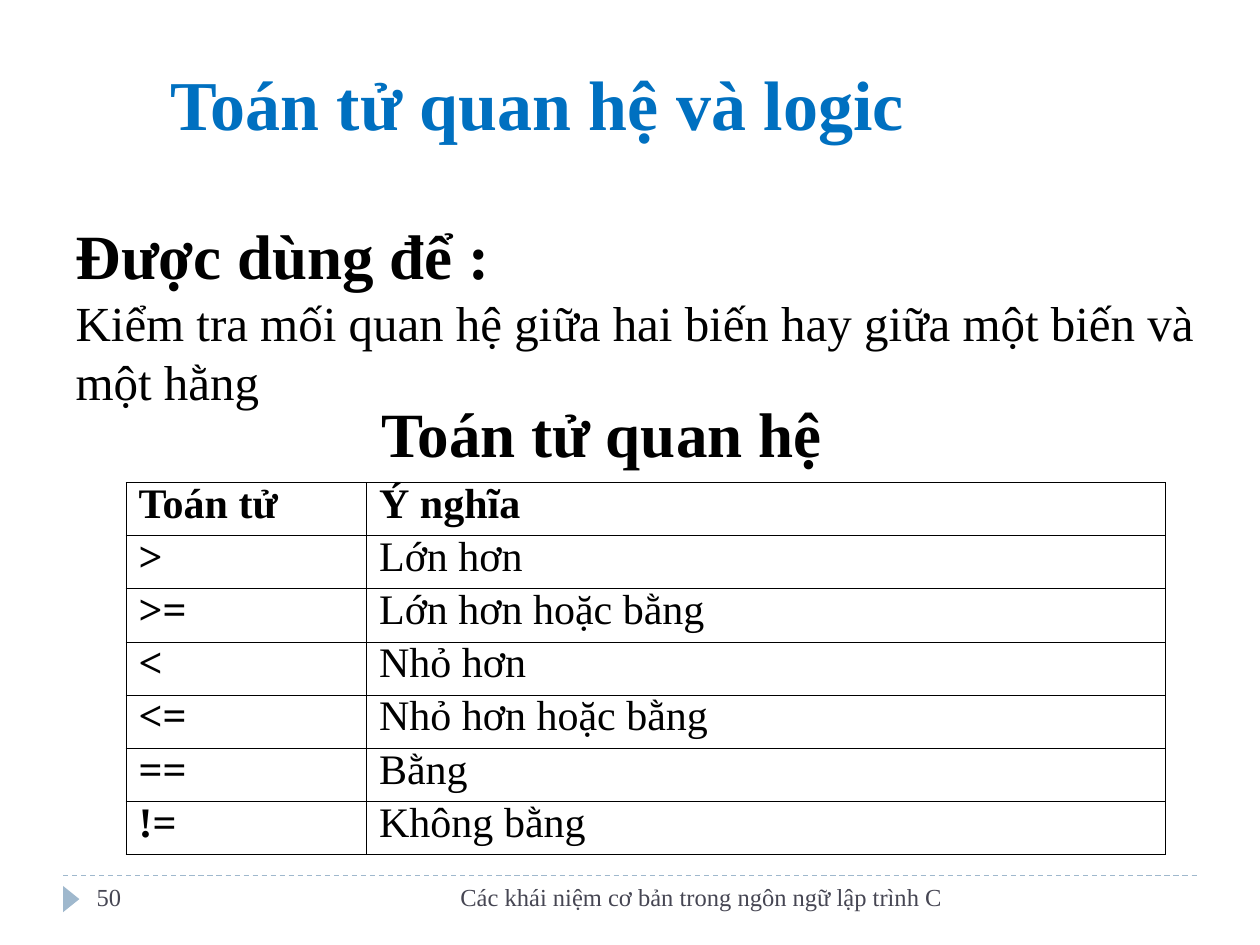
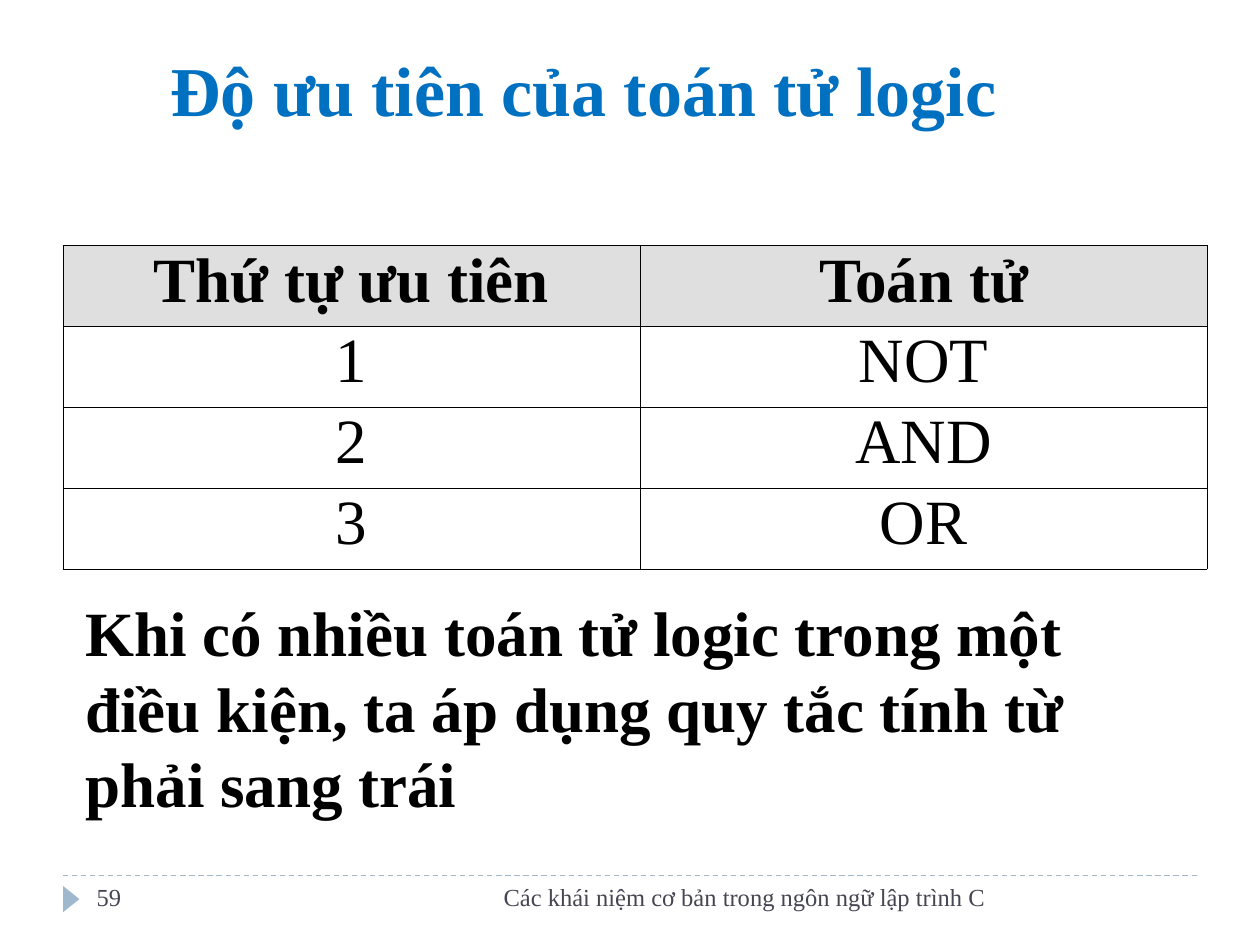
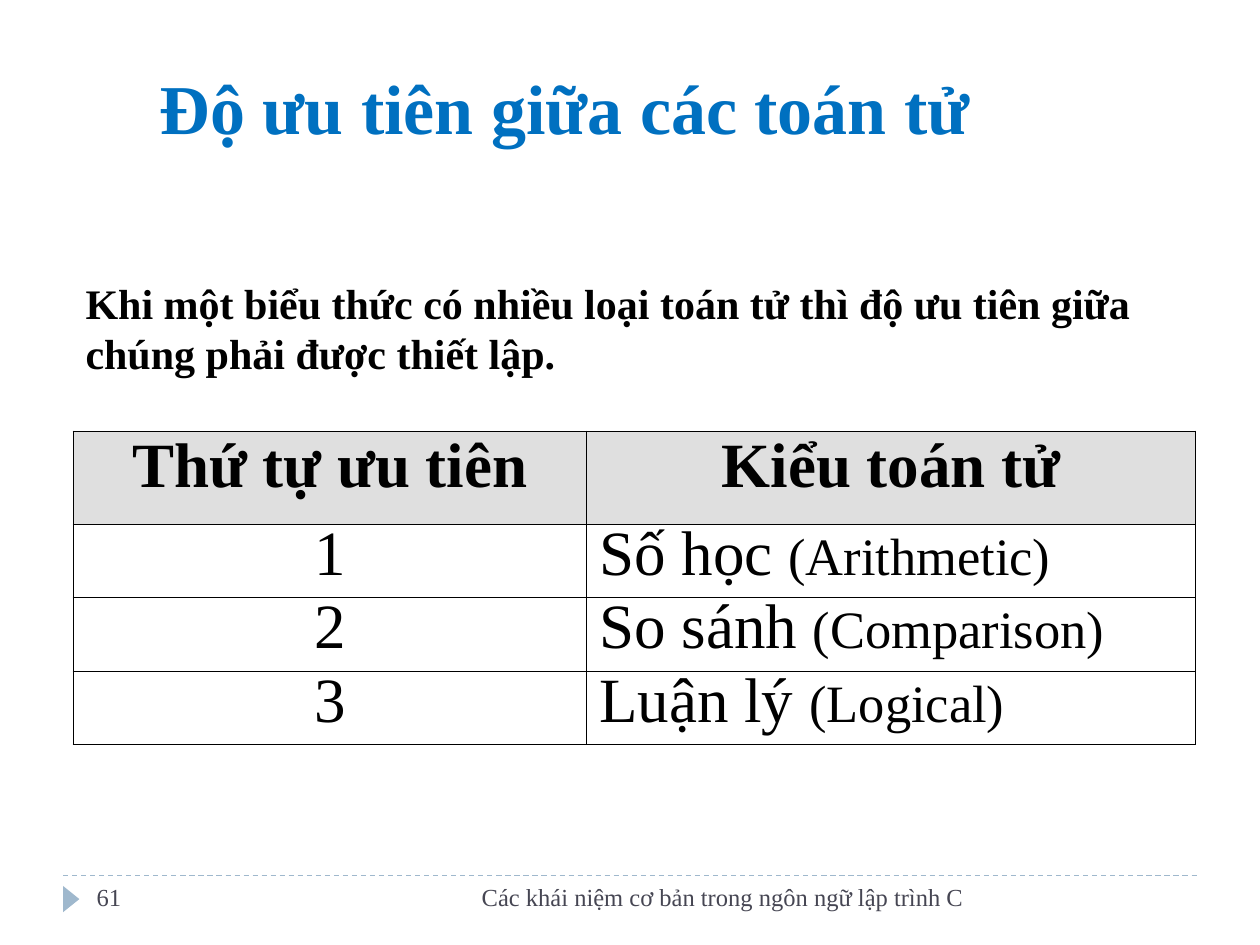
"""Build three slides on relational and logical operators in C."""
from lxml import etree
from pptx import Presentation
from pptx.dml.color import RGBColor
from pptx.enum.dml import MSO_LINE
from pptx.enum.shapes import MSO_CONNECTOR, MSO_SHAPE
from pptx.enum.text import MSO_ANCHOR, MSO_AUTO_SIZE, PP_ALIGN
from pptx.oxml import parse_xml
from pptx.oxml.ns import nsdecls, qn
from pptx.util import Cm, Pt

LEFT, MID, RIGHT = PP_ALIGN.LEFT, PP_ALIGN.CENTER, PP_ALIGN.RIGHT
TOP, CENTER, BOTTOM = MSO_ANCHOR.TOP, MSO_ANCHOR.MIDDLE, MSO_ANCHOR.BOTTOM
DASH, FIXED = MSO_LINE.DASH, MSO_AUTO_SIZE.NONE
STRAIGHT, ARROW = MSO_CONNECTOR.STRAIGHT, MSO_SHAPE.ISOSCELES_TRIANGLE
FONT = "Times New Roman"
BLUE, STEEL, SLATE, BLACK, GRAY = "0070C0", "9FB8CD", "464653", "000000", "DFDFDF"
FOOT = "Các khái niệm cơ bản trong ngôn ngữ lập trình C"

PAGES = [
    {
        "num": "50", "foot": 11.2,
        "title": "Toán tử quan hệ và logic", "head": (3.18, 0.84, 20.75, 2.21),
        "body": [
            [("Ðược dùng để :", 36, True)],
            [("Kiểm tra mối quan hệ giữa hai biến hay giữa một biến và một hằng", 28, False)],
        ],
        "area": (1.27, 4.24, 23.29, 4.17), "anchor": TOP,
        "name": "Toán tử quan hệ",
        "spot": (2.54, 9.73), "cols": (4.85, 16.1), "high": (1.07, 1.07),
        "size": 24, "lead": (0.8, 0.8), "fill": None,
        "align": ((LEFT, LEFT), (LEFT, LEFT)), "bold": (True, False),
        "rows": [
            ("Toán tử", "Ý nghĩa"),
            (">", "Lớn hơn"),
            (">=", "Lớn hơn hoặc bằng"),
            ("<", "Nhỏ hơn"),
            ("<=", "Nhỏ hơn hoặc bằng"),
            ("==", "Bằng"),
            ("!=", "Không bằng"),
        ],
    },
    {
        "num": "59", "foot": 12.07,
        "title": "Độ ưu tiên của toán tử logic", "head": (3.18, 0.64, 20.75, 2.11),
        "body": [[("Khi có nhiều toán tử logic trong một điều kiện, "
                   "ta áp dụng quy tắc tính từ phải sang trái", 36, True)]],
        "area": (1.47, 11.84, 22.43, 4.83), "anchor": CENTER,
        "spot": (1.27, 4.95), "cols": (11.63, 11.43), "high": (1.63, 1.63),
        "size": 36, "lead": (0.9, 0.9), "fill": GRAY,
        "align": ((MID, MID), (MID, MID)), "bold": (False, False),
        "rows": [("Thứ tự ưu tiên", "Toán tử"), ("1", "NOT"), ("2", "AND"), ("3", "OR")],
    },
    {
        "num": "61", "foot": 11.63,
        "title": "Độ ưu tiên giữa các toán tử", "head": (2.97, 0.84, 21.16, 2.29),
        "body": [[("Khi một biểu thức có nhiều loại toán tử thì độ ưu tiên "
                   "giữa chúng phải được thiết lập.", 24, True)]],
        "area": (1.47, 5.46, 23.06, 2.29), "anchor": CENTER,
        "spot": (1.47, 8.69), "cols": (10.36, 12.27), "high": (1.88, 1.48),
        "size": 36, "lead": (0.9, 0.8), "fill": GRAY,
        "align": ((MID, MID), (MID, LEFT)), "bold": (False, False),
        "rows": [
            ("Thứ tự ưu tiên", "Kiểu toán tử"),
            ("1", "Số học ", "(Arithmetic)"),
            ("2", "So sánh ", "(Comparison)"),
            ("3", "Luận lý ", "(Logical)"),
        ],
    },
]


def tint(hue):
    """Turn a hex string into a colour."""
    return RGBColor.from_string(hue)


def write(frame, paras, hue=BLACK, align=LEFT, lead=1.0):
    """Fill a text frame with paragraphs of (text, size, bold) runs."""
    look = {"alignment": align, "line_spacing": lead, "space_before": Pt(0)}
    for at, runs in enumerate(paras):
        para = frame.add_paragraph() if at else frame.paragraphs[0]
        for key, val in look.items():
            setattr(para, key, val)
        props = para._p.get_or_add_pPr()
        for key in ("marL", "indent"):
            props.set(key, "0")
        etree.SubElement(props, qn("a:buNone"))
        for text, size, bold in runs:
            run = para.add_run()
            run.text = text
            for key, val in {"name": FONT, "size": Pt(size), "bold": bold}.items():
                setattr(run.font, key, val)
            run.font.color.rgb = tint(hue)


deck = Presentation()
deck.slide_width, deck.slide_height = Cm(25.4), Cm(19.05)

for page in PAGES:
    slide = deck.slides.add_slide(deck.slide_layouts[1])
    shapes = slide.shapes

    rule = shapes.add_connector(STRAIGHT, Cm(1.27), Cm(17.65), Cm(24.13), Cm(17.65))
    rule.line.color.rgb = tint(STEEL)
    rule.line.width, rule.line.dash_style = Pt(0.75), DASH
    etree.SubElement(rule._element.spPr, qn("a:effectLst"))

    mark = shapes.add_shape(ARROW, Cm(1.17), Cm(17.96), Cm(0.53), Cm(0.33))
    mark.rotation, mark.shadow.inherit = 90, False
    mark.fill.solid()
    mark.fill.fore_color.rgb = tint(STEEL)
    mark.line.fill.background()

    for text, left, width, align in [
        (FOOT, 8.05, page["foot"], RIGHT),
        (page["num"], 1.7, 5.51, LEFT),
    ]:
        frame = shapes.add_textbox(Cm(left), Cm(17.65), Cm(width), Cm(1.02)).text_frame
        frame.word_wrap = True
        write(frame, [[(text, 14, False)]], SLATE, align)

    for holder, box, anchor, paras, hue in [
        (shapes.title, page["head"], BOTTOM, [[(page["title"], 40, True)]], BLUE),
        (slide.placeholders[1], page["area"], page["anchor"], page["body"], BLACK),
    ]:
        for key, val in zip(("left", "top", "width", "height"), box):
            setattr(holder, key, Cm(val))
        frame = holder.text_frame
        frame.auto_size, frame.vertical_anchor = FIXED, anchor
        write(frame, paras, hue)

    if "name" in page:
        frame = shapes.add_textbox(Cm(7.44), Cm(7.82), Cm(9.5), Cm(1.78)).text_frame
        frame.word_wrap = False
        write(frame, [[(page["name"], 36, True)]])

    rows, cols, high = page["rows"], page["cols"], page["high"]
    tall = high[0] + high[1] * (len(rows) - 1)
    left, top = page["spot"]
    table = shapes.add_table(len(rows), len(cols), Cm(left), Cm(top),
                             Cm(sum(cols)), Cm(tall)).table
    table.first_row = table.horz_banding = False
    for col, width in zip(table.columns, cols):
        col.width = Cm(width)
    for r, (first, *rest) in enumerate(rows):
        kind = min(r, 1)
        table.rows[r].height = Cm(high[kind])
        for c, parts in enumerate(([first], rest)):
            cell = table.cell(r, c)
            props = cell._tc.get_or_add_tcPr()
            for side in "LRTB":
                props.append(parse_xml(
                    f'<a:ln{side} {nsdecls("a")} w="5715"><a:solidFill>'
                    f'<a:srgbClr val="{BLACK}"/></a:solidFill></a:ln{side}>'))
            if page["fill"] and r == 0:
                cell.fill.solid()
                cell.fill.fore_color.rgb = tint(page["fill"])
            else:
                cell.fill.background()
            bold = r == 0 or page["bold"][c]
            runs = [(text, size, bold) for text, size in zip(parts, (page["size"], 30))]
            write(cell.text_frame, [runs], BLACK, page["align"][kind][c], page["lead"][kind])

deck.save("out.pptx")
